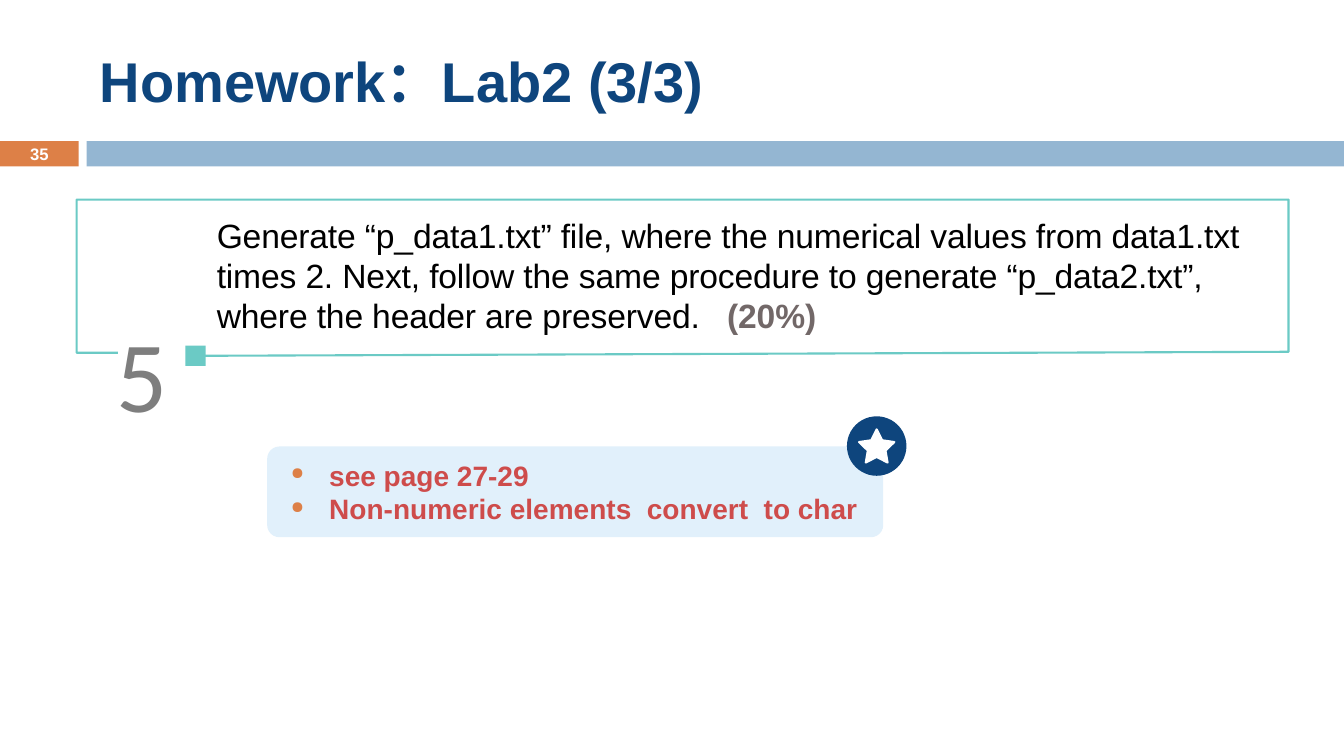
from lxml import etree
from pptx import Presentation
from pptx import util as u
from pptx.dml.color import RGBColor
from pptx.enum import shapes, text
from pptx.oxml.ns import qn

COLORS = {
    "navy": "0E457D", "orange": "DD8047", "blue": "94B6D2", "pale": "E1F0FB",
    "red": "CE4C4B", "teal": "6BCAC5", "gray": "7E7E7E", "taupe": "726868",
    "white": "FFFFFF", "black": "000000",
}
SHAPE = shapes.MSO_SHAPE
ALIGN = text.PP_ALIGN
ANCHOR = text.MSO_ANCHOR


def rgb(name):
    """Return the named palette colour."""
    return RGBColor.from_string(COLORS[name])


class SlideBuilder:
    """Holds the text style and the current slide."""

    def __init__(self, prs, font="Arial"):
        """Add a title-only slide to the presentation."""
        self.font = font
        self.slide = prs.slides.add_slide(prs.slide_layouts[5])

    def style(self, r, size, color, bold=False, font=None, spacing=None):
        """Format one run."""
        r.font.name = font or self.font
        r.font.size = u.Pt(size)
        r.font.bold = bold
        r.font.color.rgb = rgb(color)
        if spacing is not None:
            r._r.get_or_add_rPr().set("spc", str(round(spacing * 100)))

    def frame(self, sp, inset=(0, 0), anchor=ANCHOR.TOP, wrap=True):
        """Set the insets, anchor and wrapping of a text frame."""
        tf = sp.text_frame
        tf.margin_left = tf.margin_right = u.Inches(inset[0])
        tf.margin_top = tf.margin_bottom = u.Inches(inset[1])
        tf.vertical_anchor = anchor
        tf.word_wrap = wrap
        tf.auto_size = text.MSO_AUTO_SIZE.NONE
        return tf

    def title(self, words, box, size, color):
        """Place and format the title placeholder."""
        sp = self.slide.shapes.title
        sp.left, sp.top, sp.width, sp.height = map(u.Inches, box)
        tf = self.frame(sp, (0.1, 0.05), ANCHOR.MIDDLE)
        tf.text = words
        p = tf.paragraphs[0]
        p.alignment = ALIGN.LEFT
        self.style(p.runs[0], size, color, True)

    def shape(self, kind, box, fill, adj=()):
        """Add a filled preset shape without an outline."""
        sp = self.slide.shapes.add_shape(kind, *map(u.Inches, box))
        sp.shadow.inherit = False
        sp.fill.solid()
        sp.fill.fore_color.rgb = rgb(fill)
        sp.line.fill.background()
        for i, value in enumerate(adj):
            sp.adjustments[i] = value
        return sp

    def outline(self, points, color, width):
        """Add an open line through the given points."""
        start, *rest = [tuple(map(u.Inches, point)) for point in points]
        fb = self.slide.shapes.build_freeform(*start)
        fb.add_line_segments(rest, close=False)
        sp = fb.convert_to_shape()
        sp.shadow.inherit = False
        sp.fill.background()
        sp.line.color.rgb = rgb(color)
        sp.line.width = u.Pt(width)

    def text(self, box, runs, align=ALIGN.LEFT, anchor=ANCHOR.TOP, leading=None):
        """Add a text box from (words, style) pairs."""
        sp = self.slide.shapes.add_textbox(*map(u.Inches, box))
        p = self.frame(sp, anchor=anchor).paragraphs[0]
        p.alignment = align
        if leading:
            p.line_spacing = u.Pt(leading)
        for words, style in runs:
            r = p.add_run()
            r.text = words
            self.style(r, **style)

    def bullets(self, sp, lines, size, color, bullet):
        """Fill a shape with a bulleted list."""
        tf = self.frame(sp, (0.2, 0.08), ANCHOR.MIDDLE, wrap=False)
        tf.text = "\n".join(lines)
        for p in tf.paragraphs:
            p.alignment = ALIGN.LEFT
            self.style(p.runs[0], size, color, True)
            pPr = p._p.get_or_add_pPr()
            pPr.set("marL", str(u.Inches(0.38)))
            pPr.set("indent", str(u.Inches(-0.38)))
            clr = etree.SubElement(pPr, qn("a:buClr"))
            etree.SubElement(clr, qn("a:srgbClr"), val=COLORS[bullet])
            etree.SubElement(pPr, qn("a:buSzPct"), val="60000")
            etree.SubElement(pPr, qn("a:buChar"), char="●")

    def badge(self, box, fill, star):
        """Add a disc with a rounded white star."""
        self.shape(SHAPE.OVAL, box, fill)
        sp = self.shape(SHAPE.STAR_5_POINT, star, "white", (0.25,))
        sp.line.color.rgb = rgb("white")
        sp.line.width = u.Pt(1.5)
        etree.SubElement(sp.line._get_or_add_ln(), qn("a:round"))


def main():
    """Build the slide and save it."""
    prs = Presentation()
    prs.slide_width, prs.slide_height = u.Inches(13.33), u.Inches(7.5)
    s = SlideBuilder(prs)

    s.shape(SHAPE.RECTANGLE, (0, 1.4, 0.78, 0.25), "orange")
    s.shape(SHAPE.RECTANGLE, (0.86, 1.4, 12.47, 0.25), "blue")
    s.title("Homework：Lab2 (3/3)", (0.89, 0.25, 11.89, 1.08), 40, "navy")
    s.text((0, 1.39, 0.78, 0.27),
           [("35", dict(size=11.9, color="white", bold=True))],
           ALIGN.CENTER, ANCHOR.MIDDLE)

    hint = s.shape(SHAPE.ROUNDED_RECTANGLE, (2.65, 4.43, 6.11, 0.9), "pale", (0.135,))
    s.bullets(hint, ["see page 27-29", "Non-numeric elements  convert  to char"],
              20, "red", "orange")
    s.badge((8.4, 4.13, 0.59, 0.59), "navy", (8.52, 4.26, 0.35, 0.33))

    s.outline([(1.17, 3.5), (0.76, 3.5), (0.76, 1.98), (12.78, 1.98),
               (12.78, 3.49), (1.95, 3.53)], "teal", 1.5)
    s.shape(SHAPE.RECTANGLE, (1.84, 3.43, 0.2, 0.2), "teal")
    s.text((1.16, 3.09, 0.53, 1.21),
           [("5", dict(size=72, color="gray", font="Calibri", spacing=-0.4))])
    task = ("Generate “p_data1.txt” file, where the numerical values from data1.txt "
            "times 2. Next, follow the same procedure to generate “p_data2.txt”,  "
            "where the header are preserved.   ")
    s.text((2.15, 2.13, 10.42, 1.21),
           [(task, dict(size=24, color="black", spacing=-0.1)),
            ("(20%)", dict(size=24, color="taupe", bold=True, spacing=-0.1))],
           leading=28.6)

    prs.save("out.pptx")


if __name__ == "__main__":
    main()
